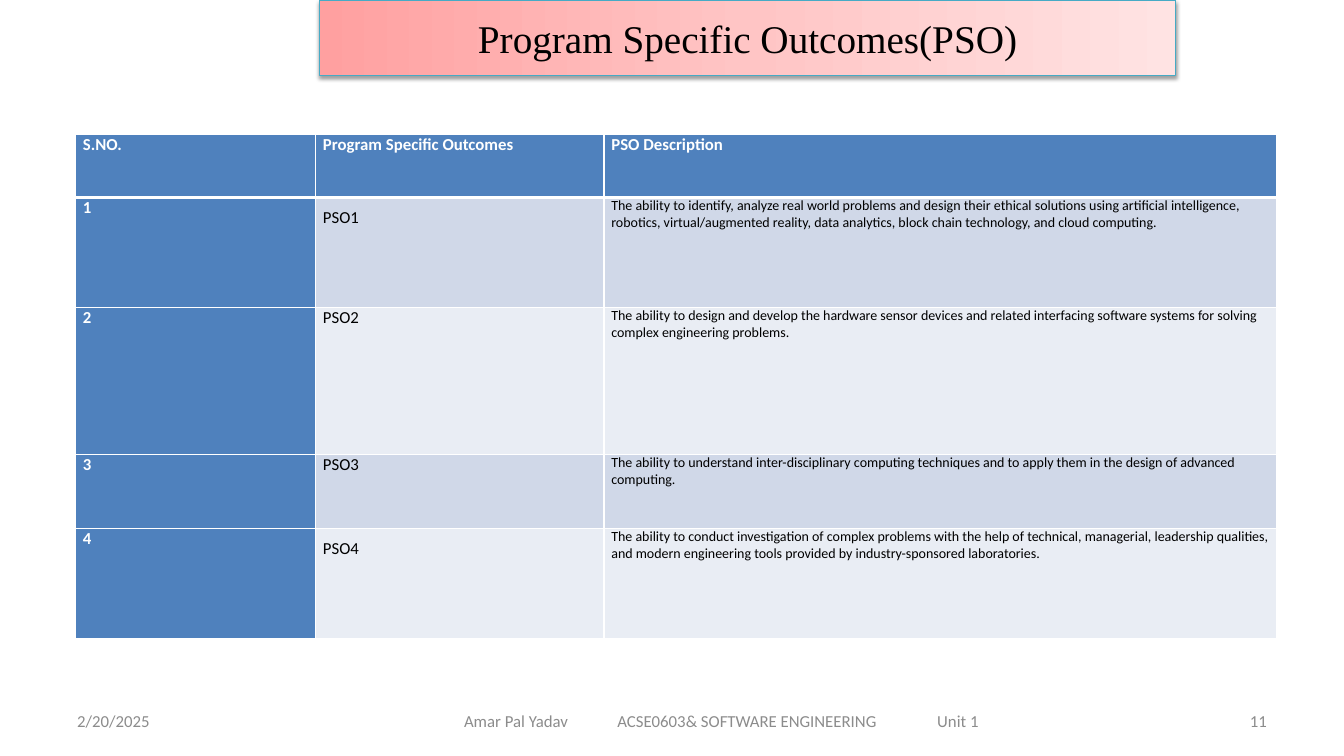
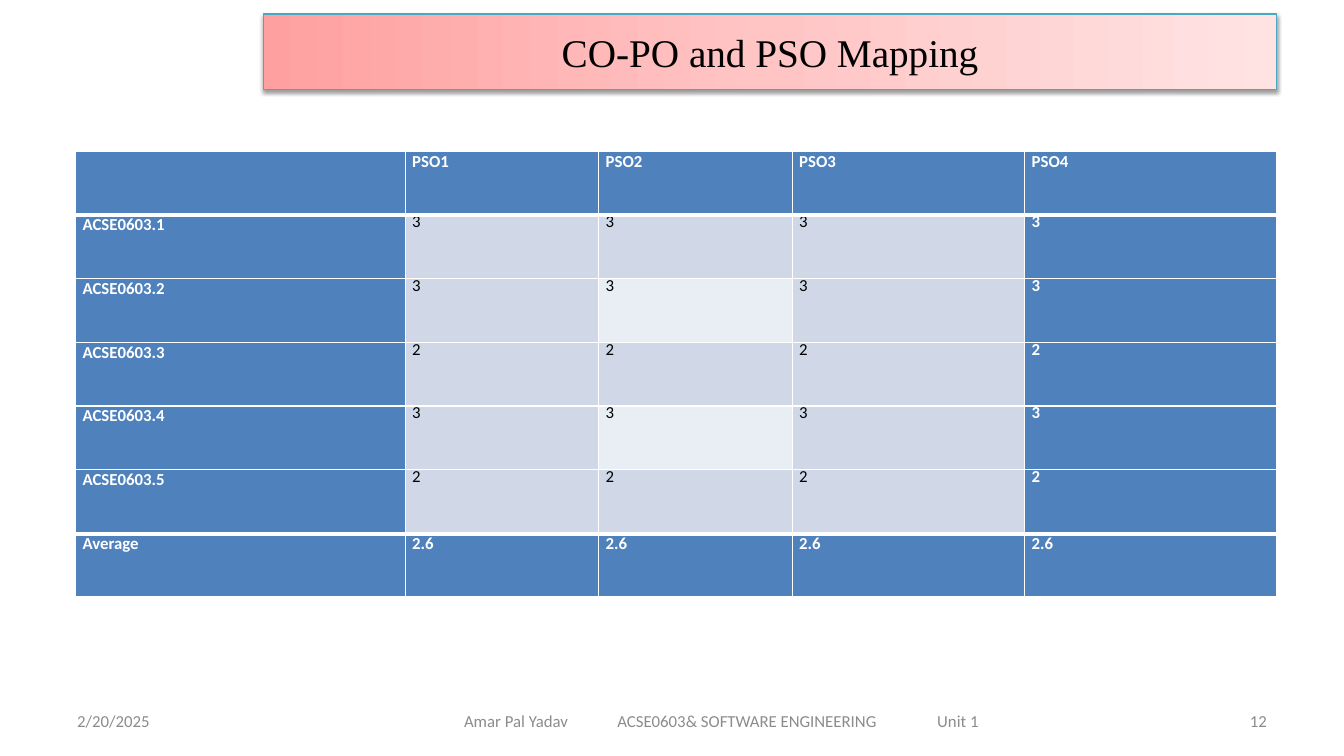
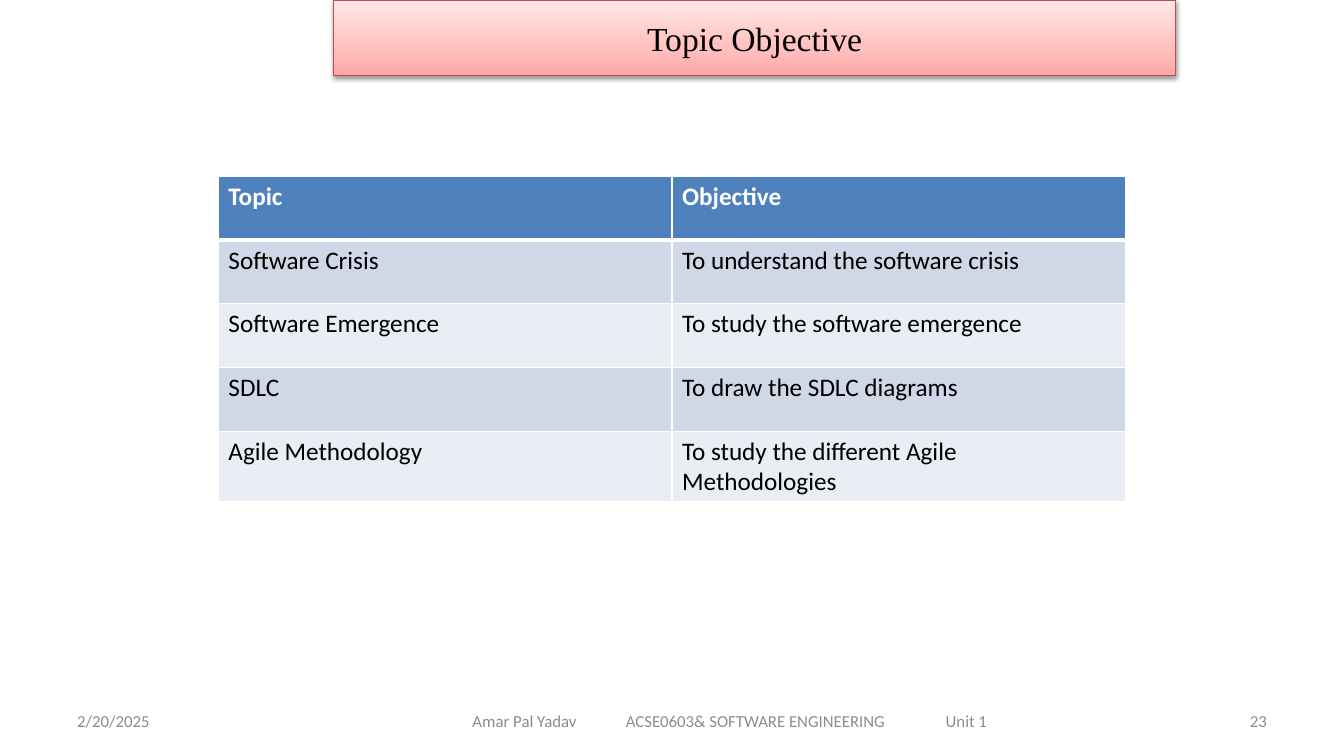
from dataclasses import dataclass

from pptx import Presentation
from pptx.dml.color import RGBColor as Rgb
from pptx.enum.text import MSO_ANCHOR as Anchor, MSO_AUTO_SIZE as Fit, PP_ALIGN as Align
from pptx.oxml import parse_xml
from pptx.oxml.ns import nsdecls
from pptx.util import Pt

NS = nsdecls("a")


@dataclass(frozen=True)
class Theme:
    # Colours
    ink: str = "000000"
    white: str = "FFFFFF"
    grey: str = "8C8C8C"
    blue: str = "4F81BD"
    dark: str = "D0D8E8"
    light: str = "E9EDF4"
    teal: str = "46AAC5"
    red: str = "BF4C48"
    # Gradients: angle in degrees, then (position, colour) stops
    across: tuple = (0, ((0, "FFA0A0"), (50, "FFC5C5"), (100, "FFE3E3")))
    upward: tuple = (270, ((0, "FFA6A5"), (35, "FFC0BF"), (100, "FFE7E7")))
    # Fonts and sizes
    serif: str = "Times New Roman"
    sans: str = "Calibri"
    big: int = 28
    mid: int = 24
    table: int = 18
    base: int = 12
    small: int = 10
    # Line widths
    thin: int = 1
    thick: int = 3


THEME = Theme()


def write(frame, text, *, size=THEME.base, color=THEME.ink, font=THEME.sans,
          bold=False, align=Align.LEFT, lead=None, tabs=()):
    """Put one formatted paragraph into a text frame."""
    para = frame.paragraphs[0]
    para.alignment = align
    if tabs:
        stops = "".join(f'<a:tab pos="{Pt(pos)}" algn="l"/>' for pos in tabs)
        para._p.get_or_add_pPr().append(parse_xml(f"<a:tabLst {NS}>{stops}</a:tabLst>"))
    if lead:
        para.line_spacing = lead
    run = para.add_run()
    run.text = text
    run.font.name = font
    run.font.size = Pt(size)
    run.font.bold = bold
    run.font.color.rgb = Rgb.from_string(color)


def place(shape, left, top, width, height):
    shape.left, shape.top = Pt(left), Pt(top)
    shape.width, shape.height = Pt(width), Pt(height)


def edge(cell, **widths):
    """Draw white cell borders, one width per side: L, R, T, B."""
    props = cell._tc.get_or_add_tcPr()
    for spot, side in enumerate("LRTB"):
        props.insert(spot, parse_xml(
            f'<a:ln{side} {NS} w="{Pt(widths[side])}"><a:solidFill>'
            f'<a:srgbClr val="{THEME.white}"/></a:solidFill></a:ln{side}>'))


class Deck:
    def __init__(self, theme):
        self.theme = theme
        self.show = Presentation()
        self.show.slide_width, self.show.slide_height = Pt(960), Pt(540)
        self.slide = None

    def start(self, number, foot=(318, 396)):
        self.slide = self.show.slides.add_slide(self.show.slide_layouts[5])
        self.footer(number, *foot)

    def label(self, left, width, text, inset=7.2, **form):
        box = self.slide.shapes.add_textbox(Pt(left), Pt(500.5), Pt(width), Pt(28.75))
        frame = box.text_frame
        frame.word_wrap = True
        frame.vertical_anchor = Anchor.MIDDLE
        frame.margin_left = Pt(inset)
        write(frame, text, color=self.theme.grey, **form)

    def footer(self, number, left, width):
        self.label(48, 224, "2/20/2025")
        parts = "Amar Pal Yadav", "ACSE0603& SOFTWARE ENGINEERING", "Unit 1"
        # The tabbed line is 369 points long and sits in the middle of its box
        self.label(left, width, "\t".join(parts), inset=(width - 369) / 2,
                   tabs=(109.5, 338))
        self.label(688, 224, str(number), align=Align.RIGHT)

    def title(self, text, left, top, width, size, grade, line):
        shape = self.slide.shapes.title
        place(shape, left, top, width, 54)
        angle, stops = grade
        marks = "".join(f'<a:gs pos="{pos * 1000}"><a:srgbClr val="{color}"/></a:gs>'
                        for pos, color in stops)
        props = shape._element.spPr
        props.append(parse_xml(
            f'<a:gradFill {NS} rotWithShape="1"><a:gsLst>{marks}</a:gsLst>'
            f'<a:lin ang="{angle * 60000}" scaled="0"/></a:gradFill>'))
        shape.line.color.rgb = Rgb.from_string(line)
        shape.line.width = Pt(0.75)
        props.append(parse_xml(
            f'<a:effectLst {NS}><a:outerShdw blurRad="{Pt(3.1)}" dist="{Pt(1.6)}" '
            f'dir="5400000" rotWithShape="0"><a:srgbClr val="{self.theme.ink}">'
            '<a:alpha val="38000"/></a:srgbClr></a:outerShdw></a:effectLst>'))
        frame = shape.text_frame
        frame.auto_size = Fit.NONE
        frame.word_wrap = True
        frame.vertical_anchor = Anchor.MIDDLE
        write(frame, text, size=size, font=self.theme.serif, align=Align.CENTER)

    def table(self, left, top, cols, rows, data, heads=(), total=False,
              pad=(5.2, 0), tint=None, form=None):
        """heads: columns styled as headers; total: style the last row as one.
        tint(row, col) tells which body cells are light; form(row, col) adds
        text format to body cells."""
        look = self.theme
        grid = self.slide.shapes.add_table(
            len(rows), len(cols), Pt(left), Pt(top), Pt(sum(cols)), Pt(sum(rows))).table
        grid.horz_banding = False
        for col, width in zip(grid.columns, cols):
            col.width = Pt(width)
        for row, height in zip(grid.rows, rows):
            row.height = Pt(height)
        tint = tint or (lambda r, c: r % 2 == 0)
        last = len(rows) - 1
        bars = {0, last} if total else {0}
        heavy = {1, last} if total else {1}  # rows with a thick line above
        for r, line in enumerate(data):
            for c, text in enumerate(line):
                cell = grid.cell(r, c)
                head = r in bars or c in heads
                cell.margin_left = cell.margin_right = Pt(pad[0])
                cell.margin_top = cell.margin_bottom = Pt(pad[1])
                cell.fill.solid()
                shade = look.blue if head else look.light if tint(r, c) else look.dark
                cell.fill.fore_color.rgb = Rgb.from_string(shade)
                edge(cell, L=look.thin, R=look.thin,
                     T=look.thick if r in heavy else look.thin,
                     B=look.thick if r + 1 in heavy else look.thin)
                if text:
                    write(cell.text_frame, text, bold=head,
                          color=look.white if head else look.ink,
                          **(form(r, c) if form else {}))


def main():
    look = THEME
    deck = Deck(look)

    # Outcomes
    deck.start(11)
    deck.title("Program Specific Outcomes(PSO)", 228, 0, 612, look.big,
               look.across, look.teal)
    goals = (
        "The ability to identify, analyze real world problems and design their ethical "
        "solutions using artificial intelligence, robotics, virtual/augmented reality, "
        "data analytics, block chain technology, and cloud computing.",
        "The ability to design and develop the hardware sensor devices and related "
        "interfacing software systems for solving complex engineering problems.",
        "The ability to understand inter-disciplinary computing techniques and to apply "
        "them in the design of advanced computing.",
        "The ability to conduct investigation of complex problems with the help of "
        "technical, managerial, leadership qualities, and modern engineering tools "
        "provided by industry-sponsored laboratories.",
    )

    def goal_form(r, c):
        if r and c == 2:
            return dict(size=look.small)
        if c == 1 and r in (1, 4):
            return dict(lead=1.5, align=Align.JUSTIFY)
        return {}

    deck.table(54, 96, (171.5, 206, 480.5), (45, 78.75, 105, 52.5, 78.75),
               [("S.NO.", "Program Specific Outcomes", "PSO Description")]
               + [(str(n), f"PSO{n}", goal) for n, goal in enumerate(goals, 1)],
               heads=(0,), form=goal_form)

    # Mapping
    deck.start(12)
    deck.title("CO-PO and PSO Mapping", 188, 10, 724, look.big, look.across, look.teal)
    marks = "33232"
    deck.table(54, 108, (235.5, 138.2, 138.2, 166.1, 180), [45.5] * 5 + [46, 44.5],
               [["", *(f"PSO{n}" for n in range(1, 5))]]
               + [[f"ACSE0603.{n}"] + [mark] * 4 for n, mark in enumerate(marks, 1)]
               + [["Average"] + ["2.6"] * 4],
               heads=(0, 4), total=True, pad=(5, 0),
               tint=lambda r, c: c == 2 and r % 2 == 0,
               form=lambda r, c: dict(lead=Pt(12.5)) if c and 0 < r < 6 else {})

    # Topics
    deck.start(23, foot=(311, 422))
    deck.title("Topic Objective", 238, 0, 602, look.mid, look.upward, look.red)
    deck.table(156, 126, (324, 324), [45.5] * 5,
               (("Topic", "Objective"),
                ("Software Crisis", "To understand the software crisis"),
                ("Software Emergence", "To study the software emergence"),
                ("SDLC", "To draw the SDLC diagrams"),
                ("Agile Methodology", "To study the different Agile Methodologies")),
               pad=(7.2, 3.6), form=lambda r, c: dict(size=look.table))

    deck.show.save("out.pptx")


if __name__ == "__main__":
    main()
